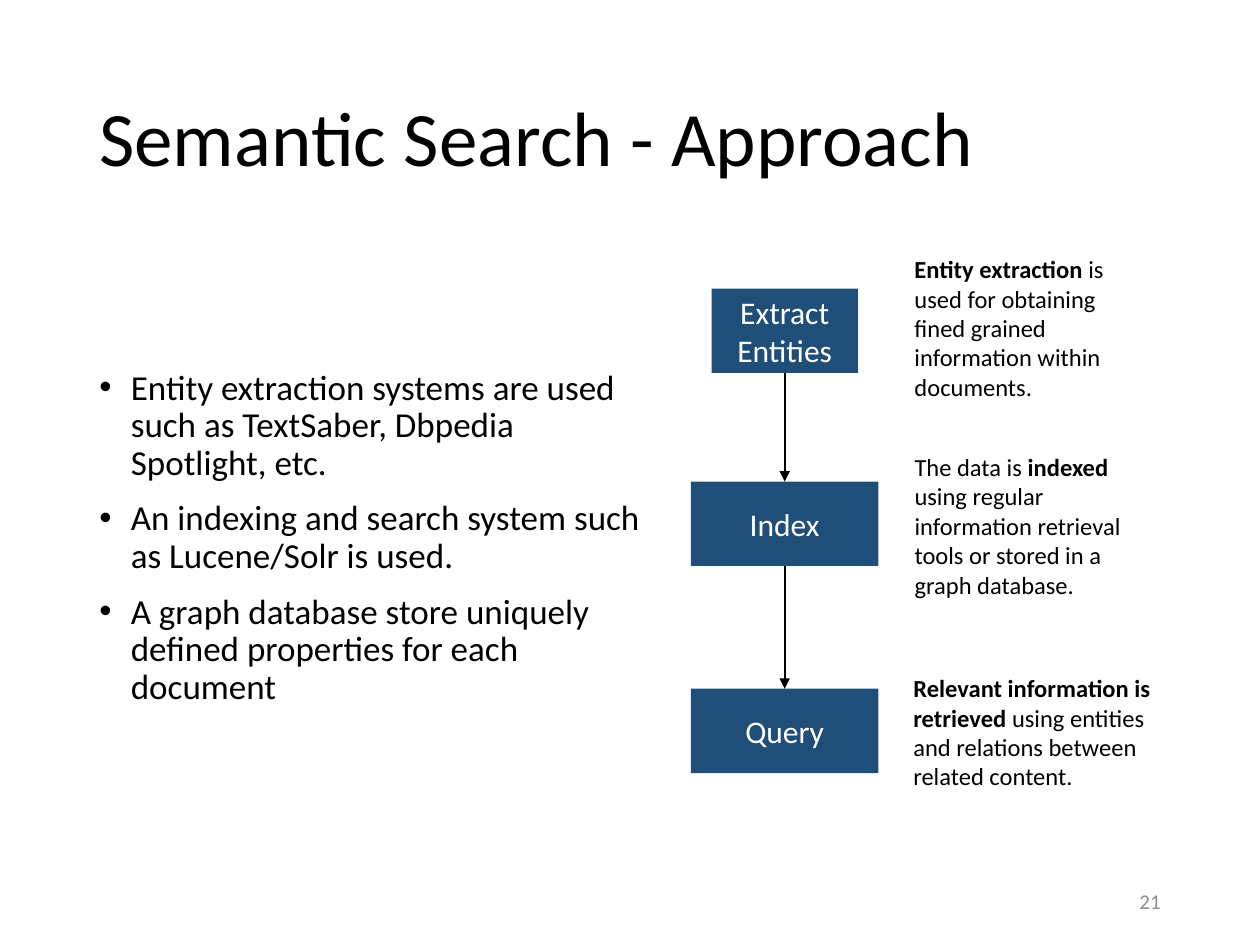
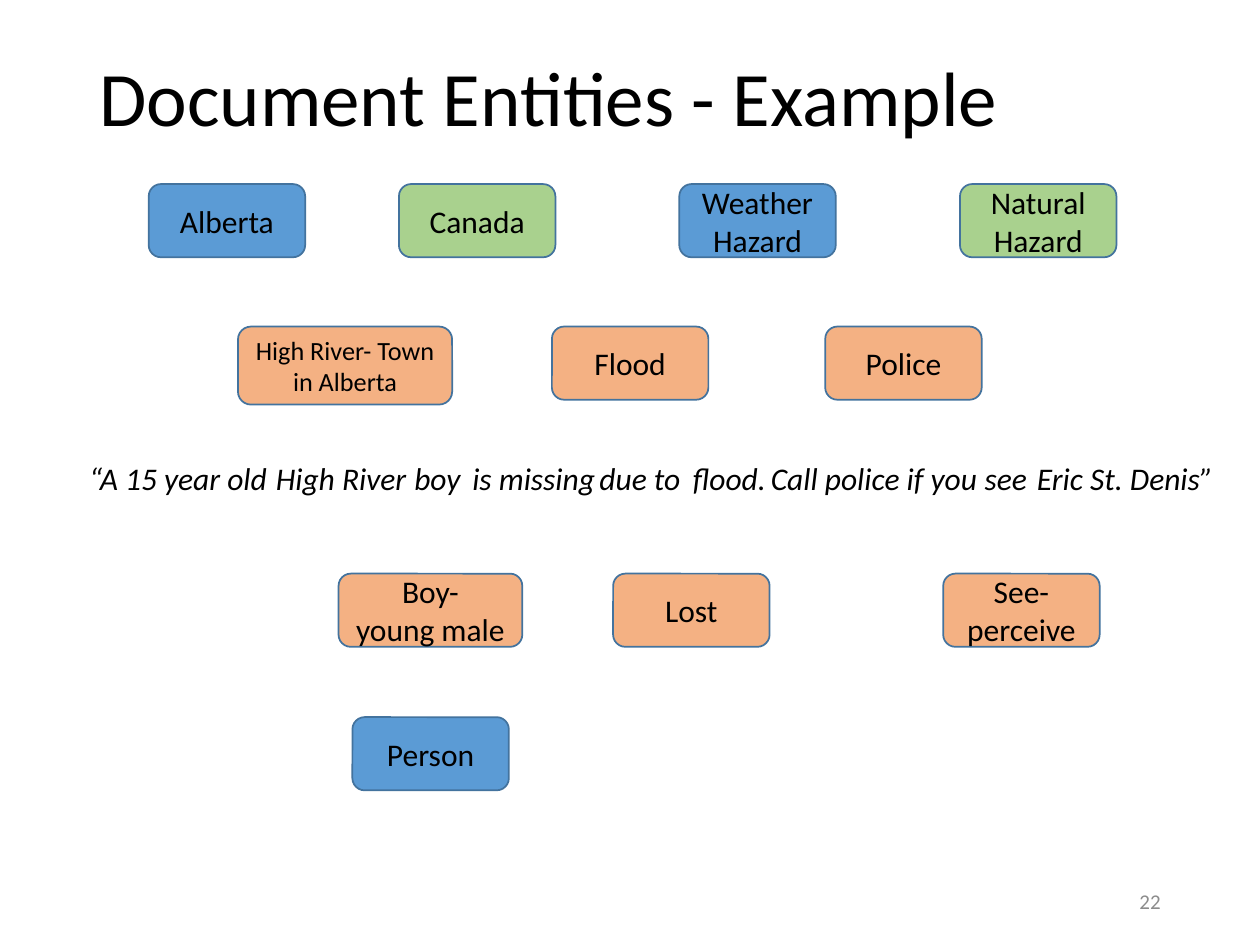
from lxml import etree
from pptx import Presentation
from pptx.dml.color import RGBColor
from pptx.enum.shapes import MSO_CONNECTOR, MSO_SHAPE
from pptx.enum.text import MSO_ANCHOR, PP_ALIGN
from pptx.oxml.ns import qn
from pptx.util import Pt

RECT, ROUNDED = MSO_SHAPE.RECTANGLE, MSO_SHAPE.ROUNDED_RECTANGLE
STRAIGHT = MSO_CONNECTOR.STRAIGHT
TOP, MIDDLE = MSO_ANCHOR.TOP, MSO_ANCHOR.MIDDLE
LEFT, CENTER, RIGHT = PP_ALIGN.LEFT, PP_ALIGN.CENTER, PP_ALIGN.RIGHT

FONT = "Calibri"
BLACK, WHITE, GREY = "000000", "FFFFFF", "8C8C8C"
NAVY, OUTLINE = "1F4E79", "43739E"
BLUE, GREEN, ORANGE = "5B9BD5", "A9D18E", "F4B183"
MARGIN, CONTENT_WIDTH = 49.7, 620.6


def color(hex_code):
    return RGBColor.from_string(hex_code)


class Deck:
    """Holds the shared style and the slide being built."""

    def __init__(self):
        self.prs = Presentation()
        self.prs.slide_width, self.prs.slide_height = Pt(720), Pt(540)
        self.slide = None

    def new_slide(self, title, title_height, number):
        self.slide = self.prs.slides.add_slide(self.prs.slide_layouts[6])
        heading = self.text(MARGIN, 28.8, CONTENT_WIDTH, title_height, [title], 44, anchor=MIDDLE)
        heading.paragraphs[0].line_spacing = 0.9
        self.text(508.3, 500.4, 162, 28.8, [number], 12, GREY, RIGHT, MIDDLE)

    def fill_frame(self, frame, paragraphs, size, font_color, align, anchor, italic=False):
        """Each paragraph is a string or a list of (text, bold) runs."""
        frame.word_wrap = True
        frame.vertical_anchor = anchor
        for i, content in enumerate(paragraphs):
            paragraph = frame.paragraphs[0] if i == 0 else frame.add_paragraph()
            paragraph.alignment = align
            font = paragraph.font
            font.name, font.size, font.italic = FONT, Pt(size), italic
            font.color.rgb = color(font_color)
            if isinstance(content, str):
                paragraph.add_run().text = content
                continue
            for words, bold in content:
                run = paragraph.add_run()
                run.text, run.font.bold = words, bold
        return frame

    def text(self, x, y, width, height, paragraphs, size, font_color=BLACK,
             align=LEFT, anchor=TOP, italic=False):
        box = self.slide.shapes.add_textbox(Pt(x), Pt(y), Pt(width), Pt(height))
        return self.fill_frame(box.text_frame, paragraphs, size, font_color, align, anchor, italic)

    def bullets(self, x, y, width, height, items, size):
        frame = self.text(x, y, width, height, items, size)
        for i, paragraph in enumerate(frame.paragraphs):
            paragraph.line_spacing = 0.9
            paragraph.space_before = Pt(10 if i else 0)
            props = paragraph._p.get_or_add_pPr()
            props.set("marL", str(Pt(18)))
            props.set("indent", str(-Pt(18)))
            bullet_font = etree.Element(qn("a:buFont"), typeface="Arial")
            bullet = etree.Element(qn("a:buChar"), char="•")
            defaults = props.find(qn("a:defRPr"))
            defaults.addprevious(bullet_font)
            defaults.addprevious(bullet)

    def box(self, kind, x, y, width, height, paragraphs, fill, font_color, size=18, outline=None):
        shape = self.slide.shapes.add_shape(kind, Pt(x), Pt(y), Pt(width), Pt(height))
        shape.shadow.inherit = False
        shape.fill.solid()
        shape.fill.fore_color.rgb = color(fill)
        if outline:
            shape.line.color.rgb = color(outline)
            shape.line.width = Pt(1)
        else:
            shape.line.fill.background()
        self.fill_frame(shape.text_frame, paragraphs, size, font_color, CENTER, MIDDLE)

    def down_arrow(self, x, start, end):
        arrow = self.slide.shapes.add_connector(STRAIGHT, Pt(x), Pt(start), Pt(x), Pt(end))
        arrow.line.color.rgb = color(BLACK)
        arrow.line.width = Pt(1)
        etree.SubElement(arrow.line._get_or_add_ln(), qn("a:tailEnd"), type="triangle")
        etree.SubElement(arrow._element.spPr, qn("a:effectLst"))


def approach_slide(deck):
    deck.new_slide("Semantic Search - Approach", 104.4, "21")
    deck.bullets(MARGIN, 207.8, 331.2, 217.7, [
        "Entity extraction systems are used such as TextSaber, Dbpedia Spotlight, etc.",
        "An indexing and search system such as Lucene/Solr is used.",
        "A graph database store uniquely defined properties for each document",
    ], 20)

    # Steps: label, top, width, then the explanation's left, top, width and runs
    axis, step_height = 448.4, 48.2
    steps = [
        ("Extract Entities", 165, 83.6, 515.5, 162.7, 149, [
            ("Entity extraction ", True),
            ("is used for obtaining fined grained information within documents.", False)]),
        ("Index", 275.2, 107.2, 515.5, 275.8, 154.8, [
            ("The data is ", False), ("indexed", True),
            (" using regular information retrieval tools or stored in a graph database.", False)]),
        ("Query", 393.6, 107.2, 514.8, 393.8, 154.8, [
            ("Relevant information is retrieved ", True),
            ("using entities and relations between related content.", False)]),
    ]
    for label, top, width, note_x, note_y, note_width, note in steps:
        deck.box(RECT, axis - width / 2, top, width, step_height, [label], NAVY, WHITE)
        deck.text(note_x, note_y, note_width, 49, [note], 14, anchor=MIDDLE)
    for upper, lower in zip(steps, steps[1:]):
        deck.down_arrow(axis, upper[1] + step_height, lower[1])


def entities_slide(deck):
    deck.new_slide("Document Entities - Example", 58.3, "22")

    # Sentence, split into the phrases that entities refer to
    phrases = [
        ("“A 15 year old", 43.9, 122.4), ("High River", 150.5, 95), ("boy", 229.7, 41),
        ("is missing", 262.8, 87.1), ("due to", 335.5, 61.9), ("flood.", 388.8, 61.9),
        ("Call police if you", 433.4, 133.9), ("see", 555.6, 47), ("Eric St. Denis”", 585.4, 115.2),
    ]
    for phrase, x, width in phrases:
        deck.text(x, 258.5, width, 28.8, [phrase], 18, italic=True)

    # Entities by row: left, fill, lines, and any differing width, height, size
    standard = (89.4, 41.8, 18)
    rows = {
        105.2: [(85, BLUE, ["Alberta"]), (228, GREEN, ["Canada"]),
                (388.2, BLUE, ["Weather Hazard"]), (548.6, GREEN, ["Natural Hazard"])],
        186.6: [(136, ORANGE, ["High River- Town in Alberta"], 122.4, 44.6, 15),
                (315.4, ORANGE, ["Flood"]), (471.6, ORANGE, ["Police"])],
        327.8: [(193.5, ORANGE, ["Boy-", "young male"], 105, 41.8, 18),
                (350.4, ORANGE, ["Lost"]), (539, ORANGE, ["See- perceive"])],
        409.8: [(201.4, BLUE, ["Person"])],
    }
    for top, entities in rows.items():
        for x, fill, lines, *custom in entities:
            width, height, size = custom or standard
            deck.box(ROUNDED, x, top, width, height, lines, fill, BLACK, size, OUTLINE)


def main():
    deck = Deck()
    approach_slide(deck)
    entities_slide(deck)
    deck.prs.save("out.pptx")


if __name__ == "__main__":
    main()
